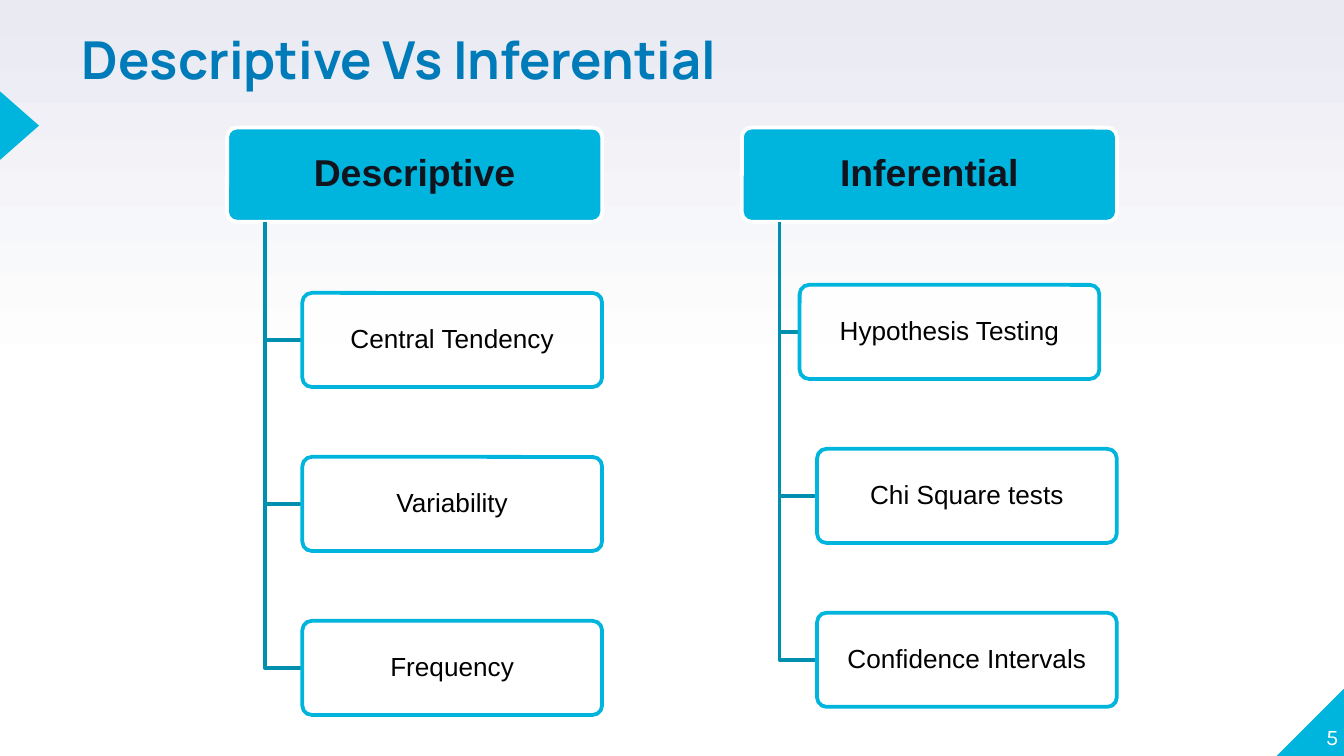
from lxml import etree
from copy import deepcopy
from pptx import Presentation
from pptx import util as u
from pptx.dml.color import RGBColor
from pptx.enum import shapes, text
from pptx.oxml.ns import qn

TITLE = "Descriptive Vs Inferential"
PAGE = "5"
# Each branch: heading, left edge, top of first item, items as (label, indent)
BRANCHES = [
    ("Descriptive", 1.69, 2.18,
     [("Central Tendency", 0.56), ("Variability", 0.56), ("Frequency", 0.56)]),
    ("Inferential", 5.52, 2.12,
     [("Hypothesis Testing", 0.43), ("Chi Square tests", 0.56),
      ("Confidence Intervals", 0.56)]),
]
COLORS = {"cyan": "00B5DD", "teal": "008FAF", "blue": "007BB9", "ink": "11131D",
          "black": "000000", "white": "FFFFFF", "mist": "E9EAF2"}
BACKGROUND = [(0, "white"), (0.5, "white"), (1, "mist")]

W = 10
H = W * 9 / 16
HEAD_TOP, HEAD_W, BOX_H, ITEM_W = 0.95, 2.79, 0.7, 2.23
TRUNK_INDENT, PITCH = 0.28, 1.22
CORNER = 0.51

TITLE_FONT = {"name": "Manrope", "size": u.Pt(28), "bold": True}
PAGE_FONT = {"name": "Karla", "size": u.Pt(12)}
HEAD_FONT = {"name": "Arial", "size": u.Pt(20), "bold": True}
ITEM_FONT = {"name": "Arial", "size": u.Pt(14), "bold": False}

Shape, Anchor, Align = shapes.MSO_SHAPE, text.MSO_ANCHOR, text.PP_ALIGN


def rgb(name):
    return RGBColor.from_string(COLORS[name])


def inches(*values):
    return [u.Inches(v) for v in values]


def write(sp, words, font, color, anchor, align, spacing=1.0, inset=(0, 0)):
    """Fill a shape with one paragraph; inset is (horizontal, vertical)."""
    tf = sp.text_frame
    x, y = inches(*inset)
    frame = {"word_wrap": True, "vertical_anchor": anchor, "margin_left": x,
             "margin_right": x, "margin_top": y, "margin_bottom": y}
    for key, value in frame.items():
        setattr(tf, key, value)
    p = tf.paragraphs[0]
    p.alignment, p.line_spacing = align, spacing
    r = p.add_run()
    r.text = words
    for key, value in font.items():
        setattr(r.font, key, value)
    r.font.color.rgb = rgb(color)


def add_shape(s, kind, box, fill, line=None):
    sp = s.shapes.add_shape(kind, *inches(*box))
    sp.shadow.inherit = False
    sp.fill.solid()
    sp.fill.fore_color.rgb = rgb(fill)
    if line:
        sp.line.color.rgb, sp.line.width = rgb(line), u.Pt(2)
    else:
        sp.line.fill.background()
    return sp


def add_box(s, box, fill, line, words, font, color, inset):
    sp = add_shape(s, Shape.ROUNDED_RECTANGLE, box, fill, line)
    sp.adjustments[0] = 0.1
    write(sp, words, font, color, Anchor.MIDDLE, Align.CENTER, 0.9, inset)
    return sp


def add_elbow(s, x, top, right, bottom):
    """Line that goes down from (x, top), then right to (right, bottom)."""
    points = [inches(x, bottom), inches(right, bottom)]
    builder = s.shapes.build_freeform(*inches(x, top))
    builder.add_line_segments(points, close=False)
    sp = builder.convert_to_shape()
    sp.shadow.inherit = False
    sp.fill.background()
    sp.line.color.rgb, sp.line.width = rgb("teal"), u.Pt(2)


def paint_background(s):
    fill = s.background.fill
    fill.gradient()
    fill.gradient_angle = 90
    stops = s._element.find(".//" + qn("a:gsLst"))
    stops.append(deepcopy(stops[0]))
    for stop, (position, color) in zip(fill.gradient_stops, BACKGROUND):
        stop.position, stop.color.rgb = position, rgb(color)


def add_branch(s, heading, left, first_top, items):
    add_box(s, (left, HEAD_TOP, HEAD_W, BOX_H), "cyan", "white",
            heading, HEAD_FONT, "ink", (0.06, 0.05))
    for row, (label, indent) in enumerate(items):
        x, y = left + indent, first_top + row * PITCH
        add_elbow(s, left + TRUNK_INDENT, HEAD_TOP + BOX_H, x, y + BOX_H / 2)
        sp = add_box(s, (x, y, ITEM_W, BOX_H), "white", "cyan",
                     label, ITEM_FONT, "black", (0.05, 0.04))
        color = sp._element.spPr.find(qn("a:solidFill"))[0]
        etree.SubElement(color, qn("a:alpha"), val="90000")


def main():
    prs = Presentation()
    prs.slide_width, prs.slide_height = inches(W, H)
    s = prs.slides.add_slide(prs.slide_layouts[6])
    paint_background(s)

    corner = add_shape(s, Shape.RIGHT_TRIANGLE,
                       (W - CORNER + 0.01, H - CORNER, CORNER, CORNER), "cyan")
    corner._element.spPr.find(qn("a:xfrm")).set("flipH", "1")
    marker = add_shape(s, Shape.ISOSCELES_TRIANGLE, (-0.11, 0.79, 0.51, 0.29), "cyan")
    marker.rotation = 90

    title = s.shapes.add_textbox(*inches(0.61, 0.29, 6.99, 0.46))
    write(title, TITLE, TITLE_FONT, "blue", Anchor.TOP, Align.LEFT, 0.8)
    page = s.shapes.add_textbox(*inches(9.46, 5.07, 0.5, 0.51))
    write(page, PAGE, PAGE_FONT, "white", Anchor.BOTTOM, Align.RIGHT)

    for branch in BRANCHES:
        add_branch(s, *branch)
    prs.save("out.pptx")


if __name__ == "__main__":
    main()
